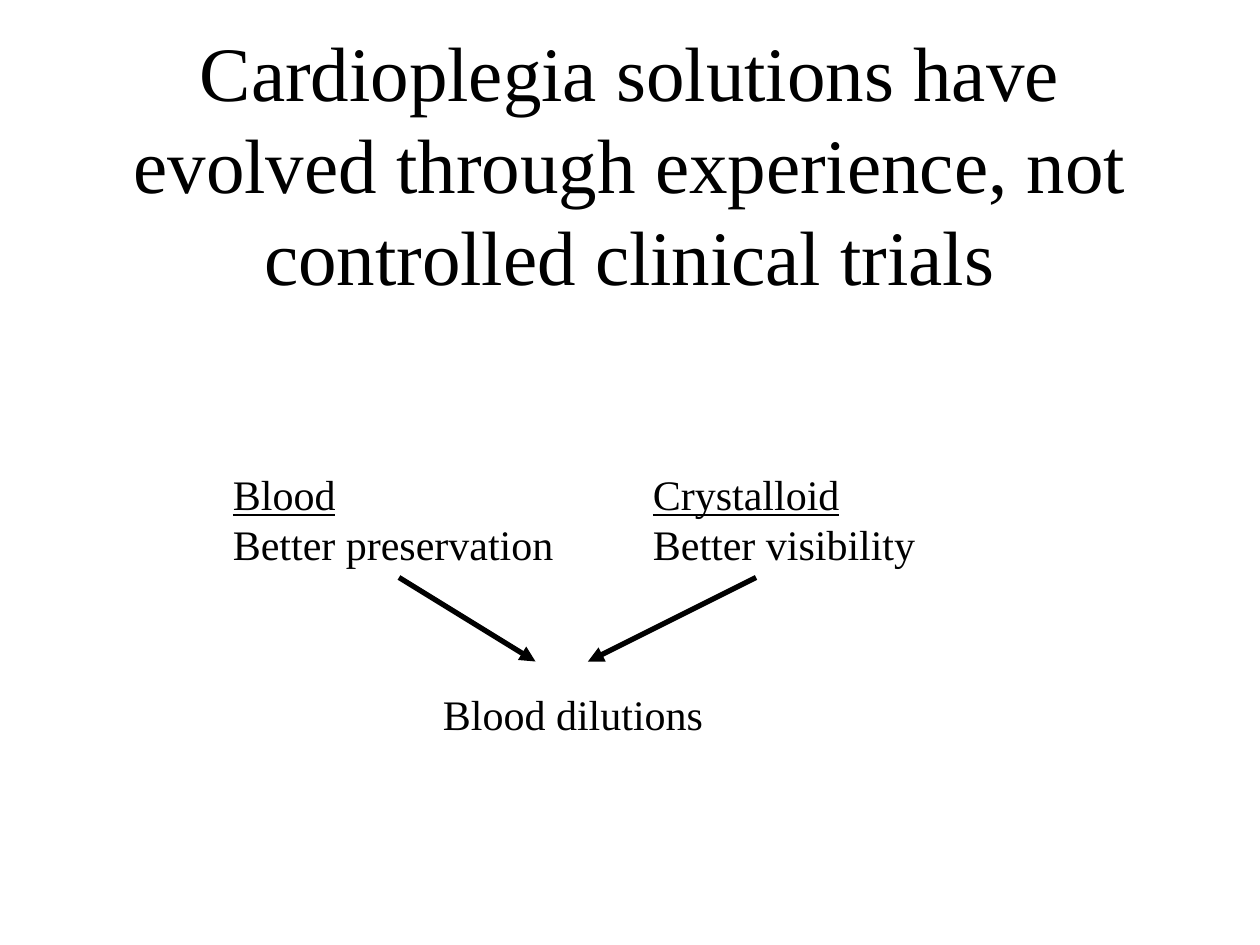
"""Build a slide on how blood and crystalloid cardioplegia led to blood dilutions."""
from lxml import etree
from pptx import Presentation
from pptx.dml.color import RGBColor
from pptx.enum.shapes import MSO_CONNECTOR
from pptx.enum.text import MSO_ANCHOR, MSO_AUTO_SIZE, PP_ALIGN
from pptx.oxml.ns import qn
from pptx.util import Inches, Pt

STRAIGHT = MSO_CONNECTOR.STRAIGHT
MIDDLE = MSO_ANCHOR.MIDDLE
NO_AUTOFIT = MSO_AUTO_SIZE.NONE
CENTER = PP_ALIGN.CENTER

COLORS = {"background": "FFFFFF", "ink": "000000"}
FONT = "Times New Roman"

presentation = Presentation()
presentation.slide_width = Inches(10)
presentation.slide_height = Inches(7.5)
COLUMN = presentation.slide_width // 120
ROW = presentation.slide_height // 90


def format_runs(paragraph, size, underline=False):
    for run in paragraph.runs:
        run.font.name = FONT
        run.font.size = Pt(size)
        run.font.underline = underline
        run.font.color.rgb = RGBColor.from_string(COLORS["ink"])


slide = presentation.slides.add_slide(presentation.slide_layouts[5])
slide.background.fill.solid()
slide.background.fill.fore_color.rgb = RGBColor.from_string(COLORS["background"])

title = slide.shapes.title
title.left, title.top = 9 * COLUMN, 8 * ROW
title.width, title.height = 102 * COLUMN, 15 * ROW
title_frame = title.text_frame
title_frame.text = ("Cardioplegia solutions have evolved through experience, "
                    "not controlled clinical trials")
title_frame.word_wrap = True
title_frame.auto_size = NO_AUTOFIT
title_frame.vertical_anchor = MIDDLE
title_frame.paragraphs[0].alignment = CENTER
format_runs(title_frame.paragraphs[0], 44)

labels = [
    (21, 44, 34, ["Blood", "Better preservation"]),
    (61, 44, 28, ["Crystalloid", "Better visibility"]),
    (41, 65, 28, ["Blood dilutions"]),
]
for column, row, columns, lines in labels:
    label = slide.shapes.add_textbox(column * COLUMN, row * ROW, columns * COLUMN,
                                     Inches(0.1 + 0.4 * len(lines)))
    label_frame = label.text_frame
    label_frame.text = "\n".join(lines)
    label_frame.word_wrap = True
    label_frame.auto_size = NO_AUTOFIT
    for index, paragraph in enumerate(label_frame.paragraphs):
        format_runs(paragraph, 24, underline=index < len(lines) - 1)

for start_column, end_column in [(38, 51), (72, 56)]:
    arrow = slide.shapes.add_connector(STRAIGHT, start_column * COLUMN, 55 * ROW,
                                       end_column * COLUMN, 63 * ROW)
    arrow.line.width = Pt(3)
    arrow.line.color.rgb = RGBColor.from_string(COLORS["ink"])
    line_element = arrow._element.spPr.find(qn("a:ln"))
    etree.SubElement(line_element, qn("a:tailEnd"), type="triangle")
    etree.SubElement(arrow._element.spPr, qn("a:effectLst"))

presentation.save("out.pptx")
